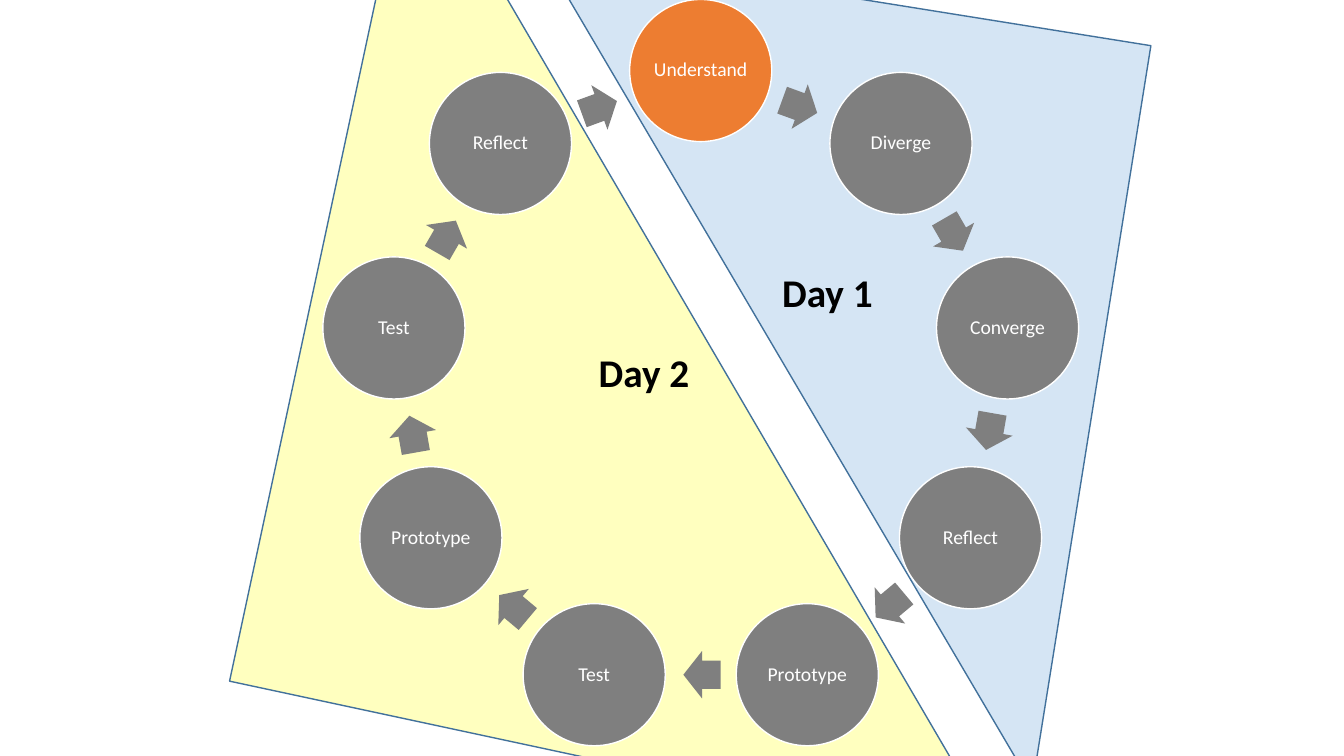
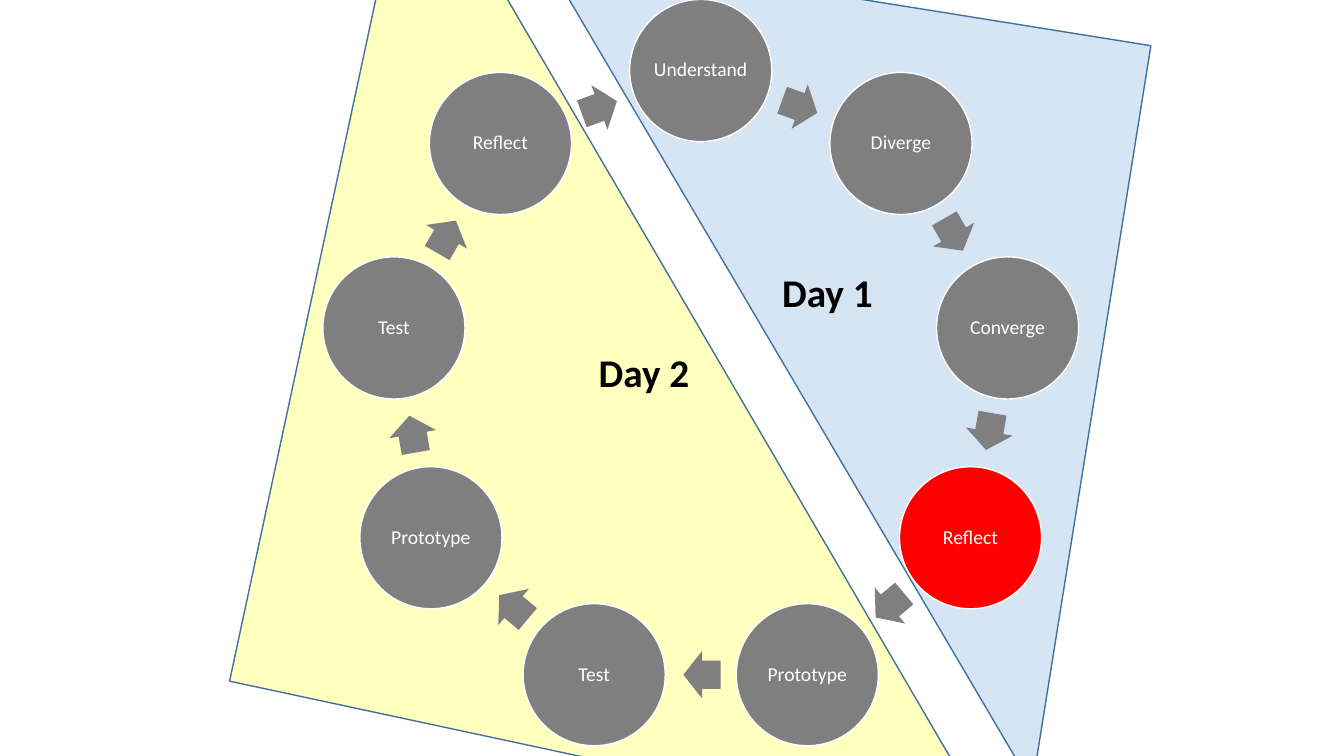
from dataclasses import dataclass
from math import cos, pi, radians, sin

from lxml.etree import SubElement
from pptx import Presentation
from pptx.dml.color import RGBColor
from pptx.enum.shapes import MSO_SHAPE
from pptx.enum.text import MSO_ANCHOR, PP_ALIGN
from pptx.oxml.ns import qn
from pptx.util import Inches, Pt


@dataclass(frozen=True)
class Theme:
    font: str = "Calibri"
    stage_size: int = 14
    day_size: int = 28
    white: str = "FFFFFF"
    black: str = "000000"
    stage: str = "7F7F7F"
    start: str = "ED7D31"
    review: str = "FF0000"
    day_1: str = "5B9BD5"
    day_2: str = "FFFF00"
    day_border: str = "42719B"


theme = Theme()

# Text formats
inset = Inches(0.02)
stage_format = {
    "frame": {"margin_left": inset, "margin_right": inset, "margin_top": inset,
              "margin_bottom": inset, "vertical_anchor": MSO_ANCHOR.MIDDLE,
              "word_wrap": False},
    "paragraph": {"alignment": PP_ALIGN.CENTER, "line_spacing": 0.9},
    "font": {"name": theme.font, "size": Pt(theme.stage_size)},
    "color": theme.white,
}
day_format = {
    "frame": {"word_wrap": True},
    "paragraph": {"alignment": PP_ALIGN.LEFT},
    "font": {"name": theme.font, "size": Pt(theme.day_size), "bold": True},
    "color": theme.black,
}


def add_filled(shapes, preset, center, size, fill, border=None, rotation=0):
    """Add a preset shape around its center point."""
    (x, y), (width, height) = center, size
    shape = shapes.add_shape(preset, Inches(x - width / 2), Inches(y - height / 2),
                             Inches(width), Inches(height))
    shape.rotation = rotation
    shape.shadow.inherit = False
    shape.fill.solid()
    shape.fill.fore_color.rgb = RGBColor.from_string(fill)
    if border:
        shape.line.color.rgb = RGBColor.from_string(border)
        shape.line.width = Pt(1)
    else:
        shape.line.fill.background()
    return shape


def write_text(shape, text, text_format):
    frame = shape.text_frame
    paragraph = frame.paragraphs[0]
    run = paragraph.add_run()
    run.text = text
    targets = {"frame": frame, "paragraph": paragraph, "font": run.font}
    for part, target in targets.items():
        for attribute, value in text_format[part].items():
            setattr(target, attribute, value)
    run.font.color.rgb = RGBColor.from_string(text_format["color"])


# Content: one ring of stages, split over two days
stages = ["Understand", "Diverge", "Converge", "Reflect", "Prototype",
          "Test", "Prototype", "Test", "Reflect"]
days = [  # label, label position, triangle center, size, rotation, fill
    ("Day 1", (7.66, 2.61), (7.79, 3.64), (6.15, 7.44), 189.1, theme.day_1),
    ("Day 2", (5.84, 3.41), (7.01, 3.38), (7.84, 8.59), 12.1, theme.day_2),
]
highlights = [{0: theme.start}, {3: theme.review}]  # stage index to fill, per slide

# Ring geometry
ring_x, ring_y, ring_radius = 6.95, 3.79, 3.09
stage_diameter = 1.41
arrow_size = (0.37, 0.47)
step = 2 * pi / len(stages)
arrow_radius = ring_radius * cos(step / 2)
arrow_setback = radians(0.25)

presentation = Presentation()
presentation.slide_width = Inches(13.33)
presentation.slide_height = Inches(7.5)

for highlight in highlights:
    slide = presentation.slides.add_slide(presentation.slide_layouts[6])

    # Translucent day areas
    for _, _, center, size, rotation, fill in days:
        area = add_filled(slide.shapes, MSO_SHAPE.RIGHT_TRIANGLE, center, size,
                          fill, theme.day_border, rotation)
        area_color = area.element.spPr.find(qn("a:solidFill")).find(qn("a:srgbClr"))
        SubElement(area_color, qn("a:alpha"), val="25000")

    # Ring of stages, each followed by an arrow to the next
    ring = slide.shapes.add_group_shape().shapes
    for index, stage_name in enumerate(stages):
        angle = index * step
        stage_center = (ring_x + ring_radius * sin(angle),
                        ring_y - ring_radius * cos(angle))
        stage = add_filled(ring, MSO_SHAPE.OVAL, stage_center,
                           (stage_diameter, stage_diameter),
                           highlight.get(index, theme.stage), theme.white)
        write_text(stage, stage_name, stage_format)

        arrow_angle = angle + step / 2 - arrow_setback
        arrow_center = (ring_x + arrow_radius * sin(arrow_angle),
                        ring_y - arrow_radius * cos(arrow_angle))
        arrow = add_filled(ring, MSO_SHAPE.RIGHT_ARROW, arrow_center, arrow_size,
                           theme.stage, rotation=20 + 40 * index)
        arrow.adjustments[0] = 0.6
        arrow.adjustments[1] = 0.5

    # Day labels
    for day_name, (left, top), *_ in days:
        label = slide.shapes.add_textbox(Inches(left), Inches(top),
                                         Inches(1.16), Inches(0.57))
        write_text(label, day_name, day_format)

presentation.save("out.pptx")
